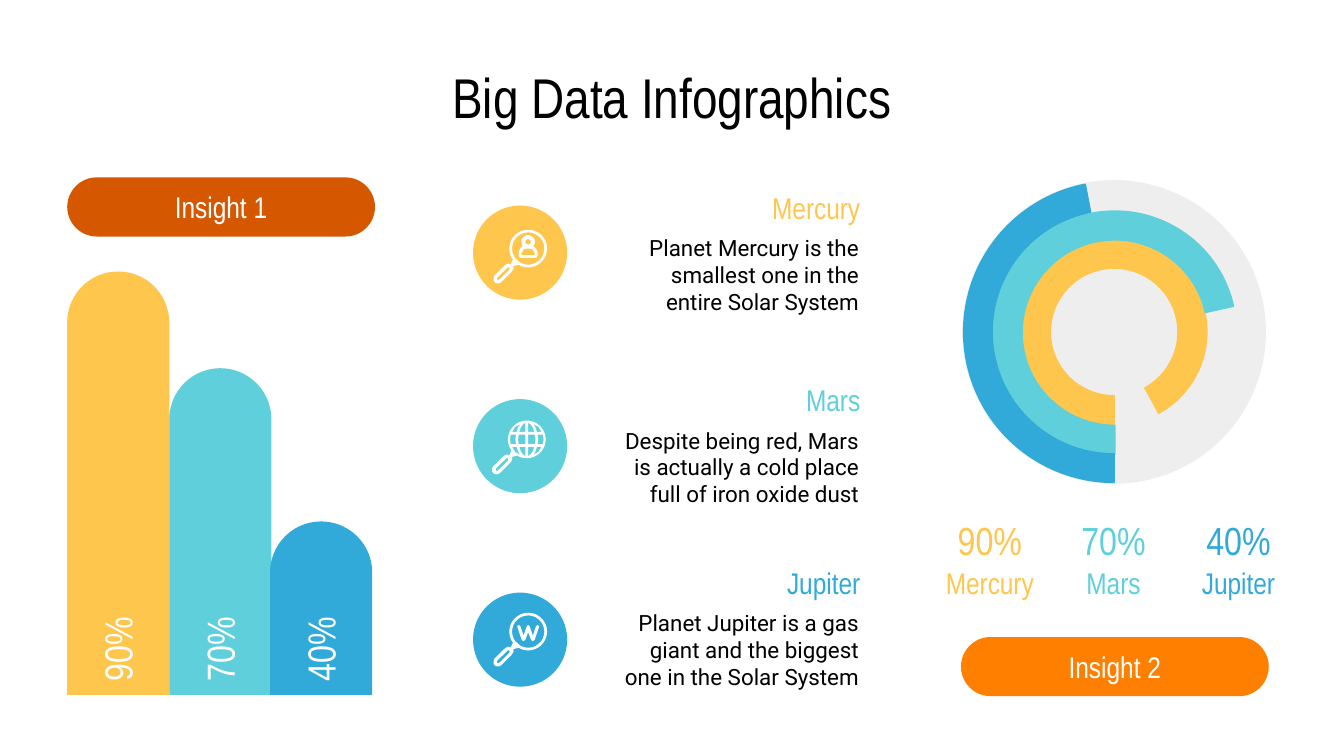
import math
from pptx import Presentation
from pptx import util as u
from pptx.dml.color import RGBColor
from pptx.enum import shapes, text

PX = 9144  # EMU in one px, 100 px to the inch
COLORS = {
    "Mercury": "FFC64E", "Mars": "5FD0DB", "Jupiter": "32AAD9",
    "Insight 1": "D55800", "Insight 2": "FF8001",
    "disc": "EEEEEE", "white": "FFFFFF", "black": "000000",
}
RGB = {name: RGBColor.from_string(value) for name, value in COLORS.items()}
KIND = shapes.MSO_SHAPE
ALIGN = text.PP_ALIGN

presentation = Presentation()
presentation.slide_width = u.Emu(1000 * PX)
presentation.slide_height = u.Emu(1000 * PX * 9 // 16)
slide = presentation.slides.add_slide(presentation.slide_layouts[6])


def add_block(kind, left, top, width, height, color=None):
    """Add a filled preset shape, or a text box when kind is None."""
    box = [u.Emu(length * PX) for length in (left, top, width, height)]
    if kind is None:
        return slide.shapes.add_textbox(*box)
    shape = slide.shapes.add_shape(kind, *box)
    shape.shadow.inherit = False
    shape.fill.solid()
    shape.fill.fore_color.rgb = RGB[color]
    shape.line.fill.background()
    return shape


def write(shape, words, size, color, align=ALIGN.CENTER, font="Arial Narrow"):
    frame = shape.text_frame
    frame.word_wrap = True
    frame.vertical_anchor = text.MSO_ANCHOR.MIDDLE
    frame.margin_left = frame.margin_right = u.Emu(10 * PX)
    frame.margin_top = frame.margin_bottom = u.Emu(10 * PX)
    paragraph = frame.paragraphs[0]
    paragraph.alignment = align
    run = paragraph.add_run()
    run.text = words
    run.font.name = font
    run.font.size = u.Pt(size)
    run.font.color.rgb = RGB[color]


# Title
write(add_block(None, 50, 45, 900, 53), "Big Data Infographics", 30, "black")

# Insight pills
for label, left, top in [("Insight 1", 50, 132), ("Insight 2", 715, 474)]:
    pill = add_block(KIND.ROUNDED_RECTANGLE, left, top, 229, 44, label)
    pill.adjustments[0] = 0.5
    write(pill, label, 16, "white")

# Grey disc behind the rings
center_x, center_y = 829, 247
add_block(KIND.OVAL, center_x - 113, center_y - 113, 226, 226, "disc")

# One bar, ring, legend entry and description per planet;
# each ring runs clockwise from the bottom to its end angle
planets = [
    ("Mercury", "90%", 315, (138, 61.3, 0.156), 139,
     "Planet Mercury is the smallest one in the entire Solar System"),
    ("Mars", "70%", 243, (181, 347.5, 0.119), 282,
     "Despite being red, Mars is actually a cold place full of iron oxide dust"),
    ("Jupiter", "40%", 129, (224, 258.93, 0.095), 418,
     "Planet Jupiter is a gas giant and the biggest one in the Solar System"),
]
for index, (name, percent, bar_height, ring, heading_top, description) in enumerate(planets):
    # Bar
    bar_left = 50 + round(75.5 * index)
    bar = add_block(KIND.ROUND_2_SAME_RECTANGLE, bar_left, 517 - bar_height, 76, bar_height, name)
    bar.adjustments[0] = 0.5
    bar_label = add_block(None, bar_left - 17, 444, 108, 38)
    bar_label.rotation = 270
    write(bar_label, percent, 21, "white", ALIGN.LEFT)

    # Ring
    diameter, end_angle, thickness = ring
    arc = add_block(KIND.BLOCK_ARC, center_x - diameter // 2, center_y - diameter // 2,
                    diameter, diameter, name)
    arc.line.color.rgb = RGB[name]
    arc.line.width = u.Pt(0.75)
    for position, value in enumerate([90 * 0.6, end_angle * 0.6, thickness]):
        arc.adjustments[position] = value

    # Legend
    legend_left = 692 + round(92.5 * index)
    write(add_block(None, legend_left, 386, 89, 31), percent, 21, name)
    write(add_block(None, legend_left, 418, 89, 31), name, 16, name)

    # Description
    write(add_block(None, 424, heading_top, 226, 31), name, 16, name, ALIGN.RIGHT)
    write(add_block(None, 449, heading_top + 31, 200, 69), description, 12, "black",
          ALIGN.RIGHT, "Roboto")
    add_block(KIND.OVAL, 352, 153 + 144 * index, 70, 70, name)

# Icon outlines, in tenths of a px from the center of the lens
circles = {
    radius: [(round(radius * math.cos(math.radians(angle))),
              round(radius * math.sin(math.radians(angle)))) for angle in range(144, 488, 8)]
    for radius in (20, 50, 120, 140)
}
handle = [(-110, 130), (-108, 145), (-120, 170), (-200, 250), (-220, 260), (-245, 255),
          (-258, 240), (-258, 215), (-250, 200), (-170, 122), (-150, 112), (-130, 118)]
handle_hole = [(-150, 138), (-138, 142), (-140, 158), (-215, 232), (-230, 235), (-232, 218)]
magnifier = [circles[140] + handle, handle_hole]

# Person: head arc open at the neck, joined to the shoulders
head = [(x, y - 50) for x, y in circles[50] if y < 35]
person = [
    head + [(60, 0), (70, 30), (70, 55), (60, 70), (-60, 70), (-70, 55), (-70, 30), (-60, 0)],
    [(x, y - 50) for x, y in circles[20]],
    [(-48, 48), (-48, 30), (-35, 8), (-10, 0), (10, 0), (35, 8), (48, 30), (48, 48)],
]

# Globe: the gaps between its lines, mirrored from one side
corner_cells = [
    [(10, -125), (10, -55), (55, -55), (45, -90), (30, -110)],
    [(45, -115), (65, -90), (75, -55), (110, -55), (85, -95)],
]
middle_cells = [
    [(10, -35), (10, 35), (60, 35), (65, 0), (60, -35)],
    [(80, -35), (85, 0), (80, 35), (120, 35), (125, 0), (120, -35)],
]
globe = [[(x * side, y * half) for x, y in cell]
         for cells, halves in [(corner_cells, (1, -1)), (middle_cells, (1,))]
         for cell in cells for side in (1, -1) for half in halves]

# Letter W: right half mirrored to the left
half_letter = [(0, -50), (10, -42), (35, 30), (58, -40), (70, -50), (82, -40),
               (48, 62), (35, 70), (22, 62), (0, 5)]
letter = [half_letter + [(-x, y) for x, y in half_letter[:0:-1]]]

lens_hole = [circles[120]]
icons = [
    (393, 185, [magnifier + lens_hole, person]),
    (392, 327, [magnifier + globe]),
    (393, 470, [magnifier + lens_hole, letter]),
]
for lens_x, lens_y, outlines in icons:
    for contours in outlines:
        builder = slide.shapes.build_freeform(*contours[0][0], scale=PX / 10)
        for number, points in enumerate(contours):
            if number:
                builder.move_to(*points[0])
            builder.add_line_segments(points[1:], close=True)
        icon = builder.convert_to_shape(u.Emu(lens_x * PX), u.Emu(lens_y * PX))
        icon.shadow.inherit = False
        icon.fill.solid()
        icon.fill.fore_color.rgb = RGB["white"]
        icon.line.fill.background()

presentation.save("out.pptx")
